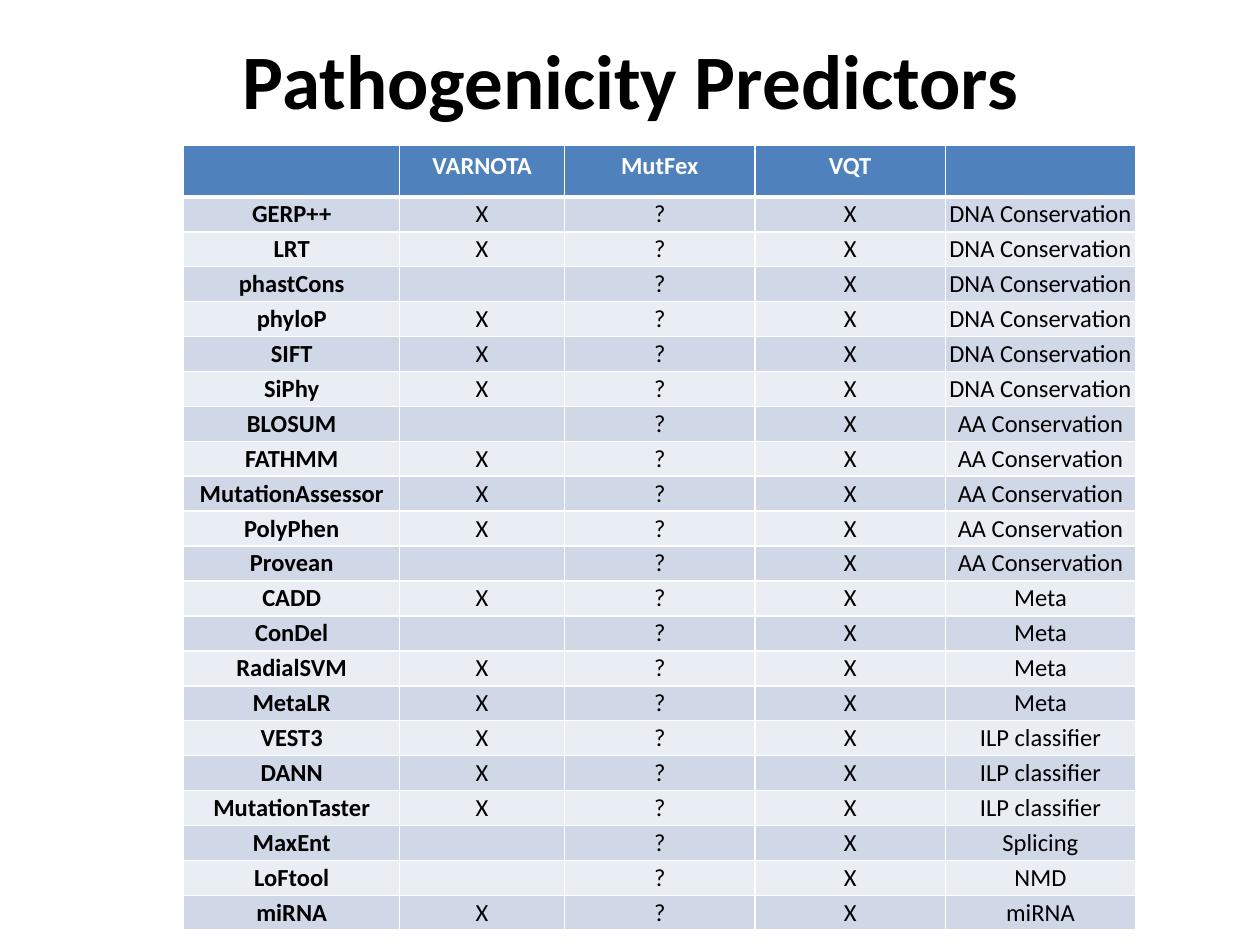
"""Build a slide with a table of pathogenicity predictors by annotation tool."""
from lxml import etree
from pptx import Presentation
from pptx.dml.color import RGBColor
from pptx.enum import text
from pptx.oxml import ns
from pptx.util import Pt

TITLE = "Pathogenicity Predictors"
HEADER = ("", "VARNOTA", "MutFex", "VQT", "")
PREDICTORS = {
    "DNA Conservation": ("GERP++", "LRT", "phastCons", "phyloP", "SIFT", "SiPhy"),
    "AA Conservation": ("BLOSUM", "FATHMM", "MutationAssessor", "PolyPhen", "Provean"),
    "Meta": ("CADD", "ConDel", "RadialSVM", "MetaLR"),
    "ILP classifier": ("VEST3", "DANN", "MutationTaster"),
    "Splicing": ("MaxEnt",),
    "NMD": ("LoFtool",),
    "miRNA": ("miRNA",),
}
NOT_IN_FIRST_TOOL = {"phastCons", "BLOSUM", "Provean", "ConDel", "MaxEnt", "LoFtool"}

FONT = "Calibri"
BLACK = RGBColor(0x00, 0x00, 0x00)
WHITE = RGBColor(0xFF, 0xFF, 0xFF)
HEADER_BLUE = RGBColor(0x4F, 0x81, 0xBD)
BANDS = (RGBColor(0xE9, 0xED, 0xF4), RGBColor(0xD0, 0xD8, 0xE8))

TABLE_LEFT, TABLE_TOP = 105, 83
COLUMN_WIDTHS = (123.4, 94.2, 108.8, 108.8, 108.8)
HEADER_HEIGHT, ROW_HEIGHT = 29.5, 19.98
CELL_SIZE, TITLE_SIZE = 14, 44


def style_paragraph(paragraph, size, color, bold):
    paragraph.alignment = text.PP_ALIGN.CENTER
    for run in paragraph.runs:
        run.font.name, run.font.size, run.font.bold = FONT, Pt(size), bold
        run.font.color.rgb = color
    if not paragraph.runs:
        end = etree.SubElement(paragraph._p, ns.qn("a:endParaRPr"))
        end.set("sz", str(size * 100))


def add_borders(cell, widths):
    properties = cell._tc.get_or_add_tcPr()
    for side, width in zip("LRTB", widths):
        line = etree.SubElement(properties, ns.qn(f"a:ln{side}"), w=str(Pt(width)))
        fill = etree.SubElement(line, ns.qn("a:solidFill"))
        etree.SubElement(fill, ns.qn("a:srgbClr"), val=str(WHITE))


def fill_cell(cell, words, row, column):
    is_header = row == 0
    cell.text_frame.text = words
    style_paragraph(cell.text_frame.paragraphs[0], CELL_SIZE,
                    WHITE if is_header else BLACK, is_header or column == 0)
    if not is_header:
        cell.margin_left = cell.margin_right = cell.margin_top = cell.margin_bottom = 0
        cell.vertical_anchor = text.MSO_ANCHOR.MIDDLE
    add_borders(cell, (1, 1, 3 if row == 1 else 1, 3 if is_header else 1))
    cell.fill.solid()
    cell.fill.fore_color.rgb = HEADER_BLUE if is_header else BANDS[row % 2]


def add_title(slide):
    frame = slide.shapes.add_textbox(Pt(36.5), Pt(0), Pt(648), Pt(90)).text_frame
    frame.word_wrap = True
    frame.vertical_anchor = text.MSO_ANCHOR.MIDDLE
    frame.text = TITLE
    style_paragraph(frame.paragraphs[0], TITLE_SIZE, BLACK, True)


def add_predictors(slide):
    rows = [HEADER] + [
        (name, "" if name in NOT_IN_FIRST_TOOL else "X", "?", "X", category)
        for category, names in PREDICTORS.items() for name in names
    ]
    heights = [HEADER_HEIGHT] + [ROW_HEIGHT] * (len(rows) - 1)
    table = slide.shapes.add_table(
        len(rows), len(HEADER), Pt(TABLE_LEFT), Pt(TABLE_TOP),
        Pt(sum(COLUMN_WIDTHS)), Pt(sum(heights))).table
    for column, width in zip(table.columns, COLUMN_WIDTHS):
        column.width = Pt(width)
    for r, (row, height) in enumerate(zip(rows, heights)):
        table.rows[r].height = Pt(height)
        for c, words in enumerate(row):
            fill_cell(table.cell(r, c), words, r, c)


def main():
    deck = Presentation()
    deck.slide_width, deck.slide_height = Pt(720), Pt(540)
    slide = deck.slides.add_slide(deck.slide_layouts[6])
    add_title(slide)
    add_predictors(slide)
    deck.save("out.pptx")


if __name__ == "__main__":
    main()
